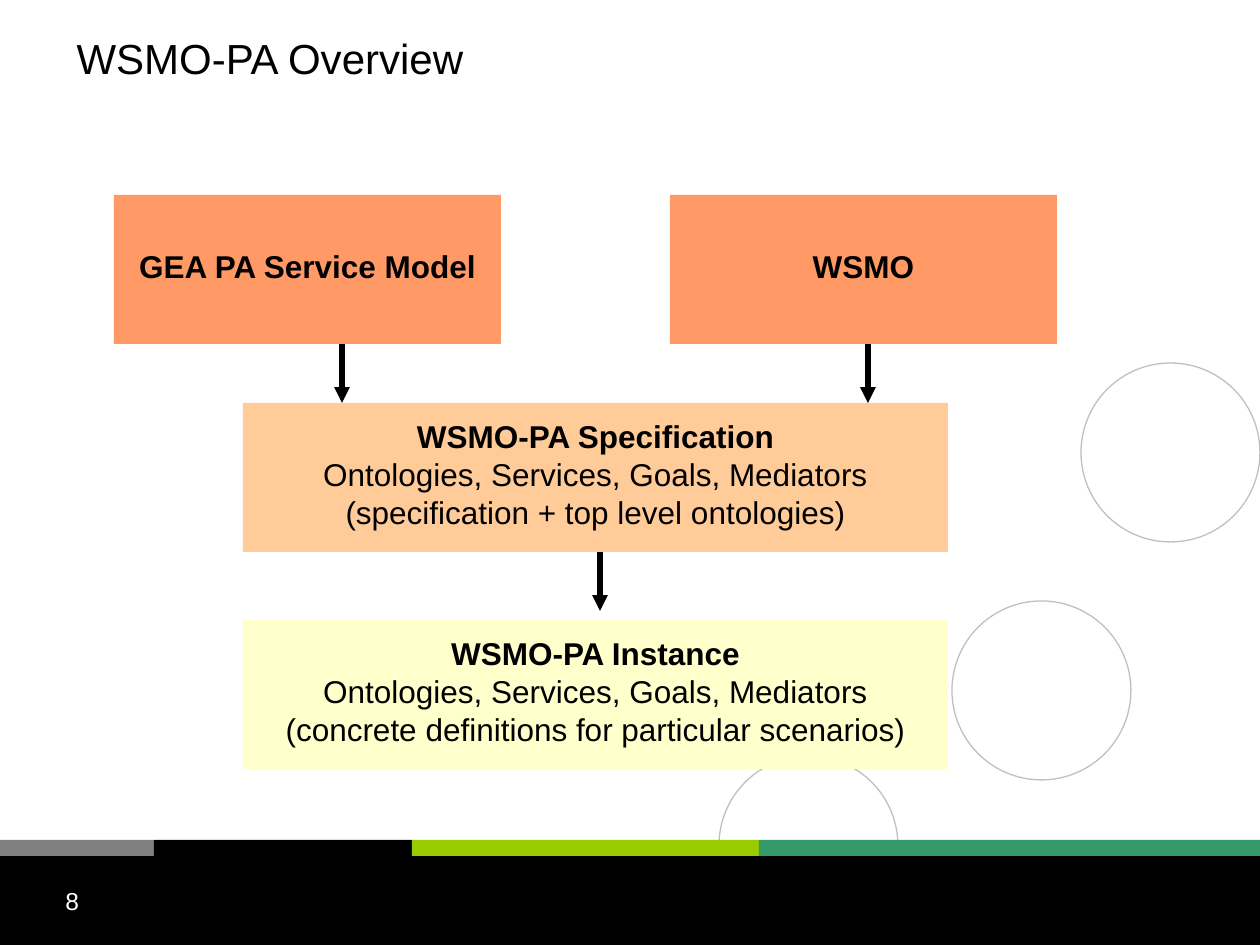
import pptx
import pptx.dml.color
import pptx.enum.shapes
import pptx.enum.text
import pptx.oxml.ns
import pptx.util
from lxml import etree

EMU_PER_PX = 914400 / 126
WIDTH, HEIGHT = 1260, 945
FONT = "Arial"
SHAPE = pptx.enum.shapes.MSO_SHAPE
ANCHOR = pptx.enum.text.MSO_ANCHOR
ALIGN = pptx.enum.text.PP_ALIGN


def px(n):
    return pptx.util.Emu(round(n * EMU_PER_PX))


def rgb(value):
    return pptx.dml.color.RGBColor.from_string(value)


def add_run(p, text, size, color="000000", bold=False):
    r = p.add_run()
    r.text = text
    r.font.name = FONT
    r.font.size = pptx.util.Pt(size)
    r.font.bold = bold
    r.font.color.rgb = rgb(color)


def add_shape(s, kind, box, fill=None, line=None):
    sp = s.shapes.add_shape(kind, *map(px, box))
    sp.shadow.inherit = False
    if fill:
        sp.fill.solid()
        sp.fill.fore_color.rgb = rgb(fill)
    else:
        sp.fill.background()
    if line:
        sp.line.color.rgb = rgb(line)
        sp.line.width = pptx.util.Pt(0.75)
    else:
        sp.line.fill.background()
    return sp


def add_circles(s, diameter=179):
    for left, top in [(719, 756), (952, 601), (1081, 363)]:
        add_shape(s, SHAPE.OVAL, (left, top, diameter, diameter), line="C0C0C0")


def add_footer(s, box, number):
    left, top, width, height = box
    stripe = 16
    add_shape(s, SHAPE.RECTANGLE, (left, top + stripe, width, height - stripe), "000000")
    starts = [0, 154, 412, 759]
    colors = ["808080", "000000", "99CC00", "339966"]
    for start, end, color in zip(starts, starts[1:] + [width], colors):
        add_shape(s, SHAPE.RECTANGLE, (left + start, top, end - start, stripe), color)
    tb = s.shapes.add_textbox(px(left + 53), px(top + 40), px(294), px(65))
    tb.text_frame.word_wrap = True
    add_run(tb.text_frame.paragraphs[0], number, 14, "FFFFFF")


def add_title(s, box, text):
    title = s.shapes.title
    title.left, title.top, title.width, title.height = map(px, box)
    tf = title.text_frame
    tf.vertical_anchor = ANCHOR.MIDDLE
    p = tf.paragraphs[0]
    p.alignment = ALIGN.LEFT
    add_run(p, text, 24)


def add_block(s, box, fill, heading, *details):
    sp = add_shape(s, SHAPE.RECTANGLE, box, fill)
    tf = sp.text_frame
    tf.word_wrap = False
    tf.vertical_anchor = ANCHOR.MIDDLE
    for i, text in enumerate((heading, *details)):
        p = tf.add_paragraph() if i else tf.paragraphs[0]
        p.alignment = ALIGN.CENTER
        p.line_spacing = 0.8
        if i:
            p.space_before = pptx.util.Pt(4.5)
        add_run(p, text, 18, bold=i == 0)


def add_down_arrow(s, x, top, length):
    c = s.shapes.add_connector(pptx.enum.shapes.MSO_CONNECTOR.STRAIGHT,
                               px(x), px(top), px(x), px(top + length))
    c.line.color.rgb = rgb("000000")
    c.line.width = pptx.util.Pt(3)
    qn = pptx.oxml.ns.qn
    etree.SubElement(c.line._get_or_add_ln(), qn("a:tailEnd"), type="triangle")
    etree.SubElement(c._element.spPr, qn("a:effectLst"))


def add_diagram(s, box):
    left, top, width, height = box
    block_h, small_w, wide_w = 149, 387, 705
    wide_left = left + 129
    spec_top = top + 208
    instance_top = top + height - block_h
    add_block(s, (left, top, small_w, block_h), "FF9966", "GEA PA Service Model")
    add_block(s, (left + width - small_w, top, small_w, block_h), "FF9966", "WSMO")
    add_block(s, (wide_left, spec_top, wide_w, block_h), "FFCC99",
              "WSMO-PA Specification",
              "Ontologies, Services, Goals, Mediators",
              "(specification + top level ontologies)")
    add_block(s, (wide_left, instance_top, wide_w, block_h), "FFFFCC",
              "WSMO-PA Instance",
              "Ontologies, Services, Goals, Mediators",
              "(concrete definitions for particular scenarios)")
    for x, block_top in [(228, top), (754, top), (486, spec_top)]:
        add_down_arrow(s, left + x, block_top + block_h, 59)


def main():
    prs = pptx.Presentation()
    prs.slide_width, prs.slide_height = px(WIDTH), px(HEIGHT)
    s = prs.slides.add_slide(prs.slide_layouts[5])
    add_circles(s)
    add_footer(s, (0, 840, WIDTH, 105), "8")
    add_title(s, (64, 0, 987, 116), "WSMO-PA Overview")
    add_diagram(s, (114, 195, 943, 574))
    prs.save("out.pptx")


if __name__ == "__main__":
    main()
